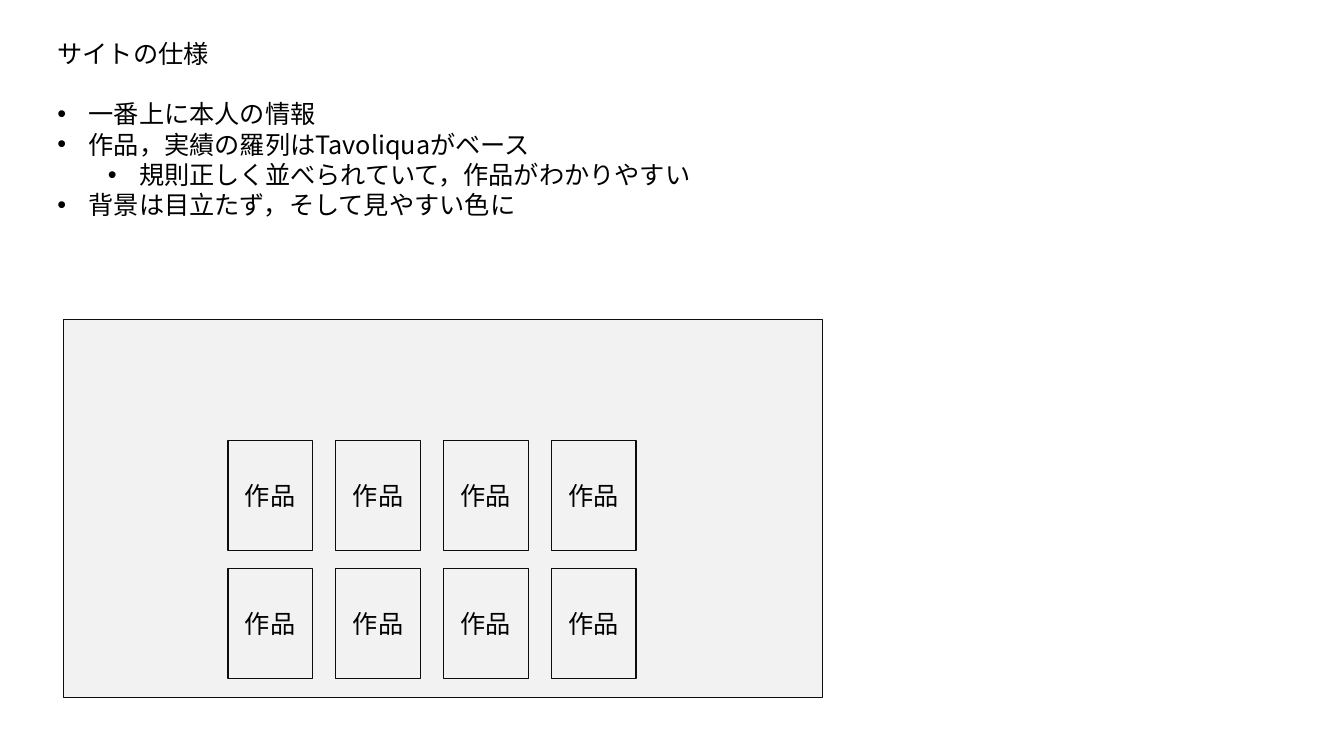
from lxml.etree import SubElement
from pptx import Presentation
from pptx.dml.color import RGBColor
from pptx.enum.shapes import MSO_SHAPE as Preset
from pptx.enum.text import MSO_ANCHOR as Anchor, MSO_AUTO_SIZE as AutoSize, PP_ALIGN as Align
from pptx.oxml.ns import qn
from pptx.util import Emu, Pt

PX = 9144  # 100 px to the inch
FONT = "Noto Sans CJK JP"
COLORS = {"text": "000000", "panel": "F2F2F2", "outline": "0D0D0D"}

REQUIREMENTS = [
    (0, "一番上に本人の情報"),
    (0, "作品，実績の羅列はTavoliquaがベース"),
    (1, "規則正しく並べられていて，作品がわかりやすい"),
    (0, "背景は目立たず，そして見やすい色に"),
]


def px(length):
    return Emu(length * PX)


def color(key):
    return RGBColor.from_string(COLORS[key])


def add_run(paragraph, text):
    run = paragraph.add_run()
    run.text = text
    run.font.size = Pt(18)
    run.font.name = FONT
    run.font.color.rgb = color("text")
    SubElement(run.font._element, qn("a:ea"), typeface=FONT)


def place_text(holder, left, top, width, height):
    holder.left, holder.top = px(left), px(top)
    holder.width, holder.height = px(width), px(height)
    frame = holder.text_frame
    frame.word_wrap = True
    frame.auto_size = AutoSize.NONE
    frame.vertical_anchor = Anchor.TOP
    return frame


def format_line(paragraph):
    paragraph.alignment = Align.LEFT
    paragraph.line_spacing = 1.0
    paragraph.space_before = paragraph.space_after = Pt(0)


def add_bullet(paragraph, level):
    paragraph.level = level
    properties = paragraph._p.get_or_add_pPr()
    properties.set("marL", str(px(31 + 50 * level)))
    properties.set("indent", str(px(-31)))
    SubElement(properties, qn("a:buFont"), typeface="Arial")
    SubElement(properties, qn("a:buChar"), char="•")


def add_box(slide, left, top, width, height, label=None):
    box = slide.shapes.add_shape(Preset.RECTANGLE, px(left), px(top), px(width), px(height))
    box.shadow.inherit = False
    box.fill.solid()
    box.fill.fore_color.rgb = color("panel")
    box.line.color.rgb = color("outline")
    box.line.width = Pt(1)
    if label:
        box.text_frame.vertical_anchor = Anchor.MIDDLE
        paragraph = box.text_frame.paragraphs[0]
        paragraph.alignment = Align.CENTER
        add_run(paragraph, label)


def add_requirements(slide):
    # Heading
    heading = place_text(slide.shapes.title, 47, 33, 658, 40).paragraphs[0]
    format_line(heading)
    add_run(heading, "サイトの仕様")

    # Bulleted list
    frame = place_text(slide.placeholders[1], 47, 93, 658, 132)
    for index, (level, text) in enumerate(REQUIREMENTS):
        item = frame.add_paragraph() if index else frame.paragraphs[0]
        format_line(item)
        add_bullet(item, level)
        add_run(item, text)


def add_site_mockup(slide):
    # Page outline
    add_box(slide, 63, 317, 753, 375)

    # Grid of works
    for row in range(2):
        for column in range(4):
            add_box(slide, 226 + 107 * column, 437 + 127 * row, 84, 109, "作品")


def main():
    deck = Presentation()
    deck.slide_width, deck.slide_height = px(1333), px(750)
    slide = deck.slides.add_slide(deck.slide_layouts[1])
    add_requirements(slide)
    add_site_mockup(slide)
    deck.save("out.pptx")


if __name__ == "__main__":
    main()
